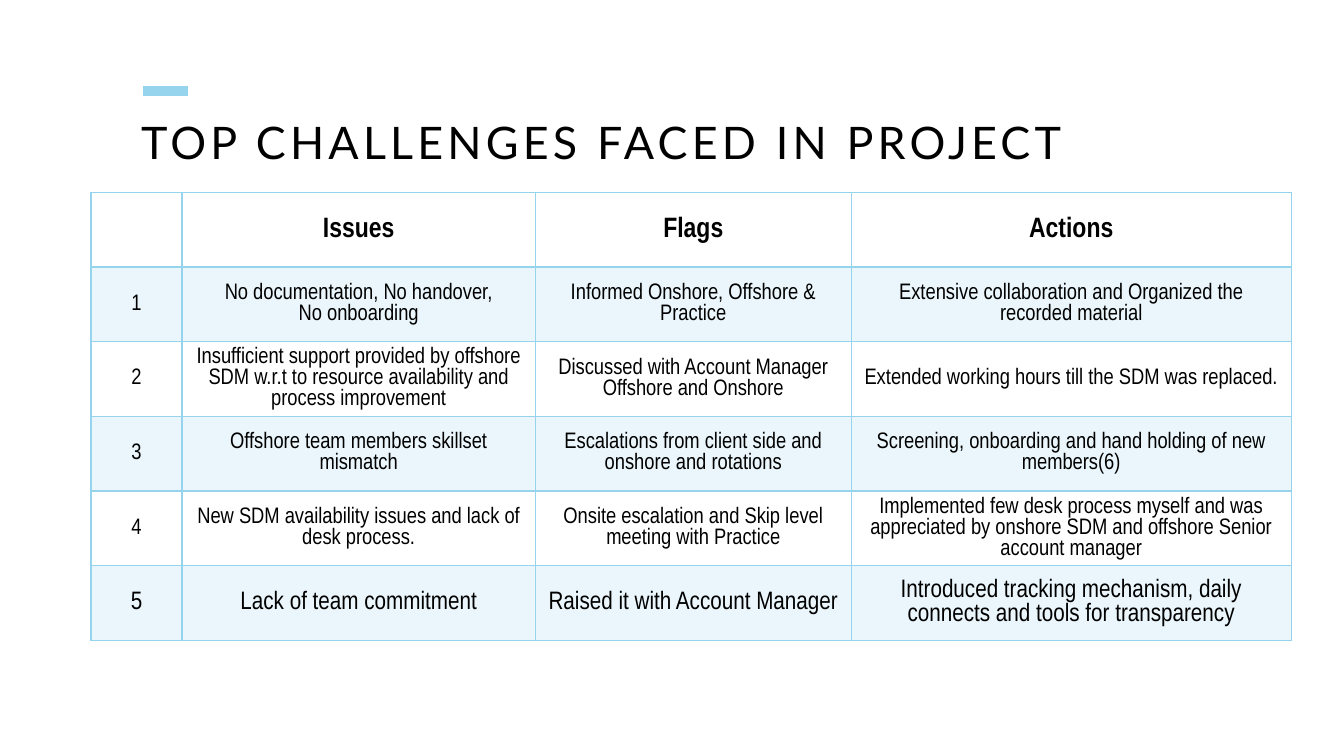
"""Build the slide on the top challenges faced in a project."""
from dataclasses import dataclass

from lxml import etree
from pptx import Presentation
from pptx.dml import color
from pptx.enum import shapes, text
from pptx.oxml import ns
from pptx.util import Pt

ACCENT = "96D3ED"
BLACK = "000000"
BODY_FONT = "Arial Narrow"
COLUMN_WIDTHS = (65, 252.5, 225.5, 314.5)
ROW_HEIGHT = 53.3


@dataclass(frozen=True)
class Row:
    cells: tuple[str, ...]
    size: float = 16
    bold: bool = False
    shaded: bool = False
    bottom_line: float = 1


ROWS = (
    Row(("", "Issues", "Flags", "Actions"), size=20, bold=True, bottom_line=2),
    Row(("1", "No documentation, No handover,\nNo onboarding",
         "Informed Onshore, Offshore & Practice",
         "Extensive collaboration and Organized the recorded material"), shaded=True),
    Row(("2", "Insufficient support provided by offshore SDM w.r.t to resource "
         "availability and process improvement",
         "Discussed with Account Manager Offshore and Onshore",
         "Extended working hours till the SDM was replaced.")),
    Row(("3", "Offshore team members skillset mismatch",
         "Escalations from client side and onshore and rotations",
         "Screening, onboarding and hand holding of new members(6)"), shaded=True),
    Row(("4", "New SDM availability issues and lack of desk process.",
         "Onsite escalation and Skip level meeting with Practice",
         "Implemented few desk process myself and was appreciated by onshore SDM "
         "and offshore Senior account manager")),
    Row(("5", "Lack of team commitment", "Raised it with Account Manager",
         "Introduced tracking mechanism, daily connects and tools for transparency"),
        size=18, shaded=True),
)


def paint(target, hex_code: str) -> None:
    target.rgb = color.RGBColor.from_string(hex_code)


def style_font(font, name: str, size: float, bold: bool = False) -> None:
    font.name, font.size, font.bold = name, Pt(size), bold
    paint(font.color, BLACK)


def add_accent(slide) -> None:
    accent = slide.shapes.add_connector(
        shapes.MSO_CONNECTOR.STRAIGHT, Pt(102.2), Pt(64.8), Pt(134.6), Pt(64.8))
    accent.line.width = Pt(7)
    paint(accent.line.color, ACCENT)
    etree.SubElement(accent._element.spPr, ns.qn("a:effectLst"))


def fill_title(title) -> None:
    title.left, title.top, title.width, title.height = map(Pt, (100.8, 86.4, 756, 72))
    frame = title.text_frame
    frame.margin_left = frame.margin_top = frame.margin_right = frame.margin_bottom = 0
    frame.vertical_anchor = text.MSO_ANCHOR.TOP
    frame.auto_size = text.MSO_AUTO_SIZE.NONE
    frame.word_wrap = True
    frame.text = "TOP CHALLENGES FACED IN PROJECT"
    heading = frame.paragraphs[0]
    heading.alignment = text.PP_ALIGN.LEFT
    heading.line_spacing = 0.9
    style_font(heading.font, "Lato", 32)
    heading.runs[0]._r.get_or_add_rPr().set("spc", "300")


def add_borders(cell, widths: dict[str, float]) -> None:
    properties = cell._tc.get_or_add_tcPr()
    for position, (side, width) in enumerate(widths.items()):
        border = etree.Element(ns.qn(f"a:{side}"), w=str(Pt(width)))
        solid = etree.SubElement(border, ns.qn("a:solidFill"))
        etree.SubElement(solid, ns.qn("a:srgbClr"), val=ACCENT)
        properties.insert(position, border)


def fill_cell(cell, wording: str, row: Row, top_line: float) -> None:
    cell.text = wording
    cell.vertical_anchor = text.MSO_ANCHOR.MIDDLE
    for paragraph in cell.text_frame.paragraphs:
        paragraph.alignment = text.PP_ALIGN.CENTER
        style_font(paragraph.font, BODY_FONT, row.size, row.bold)
    if row.shaded:
        cell.fill.solid()
        paint(cell.fill.fore_color, ACCENT)
        tint = cell._tc.tcPr.find(".//" + ns.qn("a:srgbClr"))
        etree.SubElement(tint, ns.qn("a:alpha"), val="20000")
    else:
        cell.fill.background()
    add_borders(cell, {"lnL": 1, "lnR": 1, "lnT": top_line, "lnB": row.bottom_line})


def add_challenges(slide) -> None:
    challenges = slide.shapes.add_table(
        len(ROWS), len(COLUMN_WIDTHS), Pt(65), Pt(137.5),
        Pt(sum(COLUMN_WIDTHS)), Pt(ROW_HEIGHT * len(ROWS))).table
    challenges.first_row = challenges.horz_banding = False
    for column, width in zip(challenges.columns, COLUMN_WIDTHS):
        column.width = Pt(width)
    top_line = 1
    for table_row, row in zip(challenges.rows, ROWS):
        table_row.height = Pt(ROW_HEIGHT)
        for cell, wording in zip(table_row.cells, row.cells):
            fill_cell(cell, wording, row, top_line)
        top_line = row.bottom_line


def main() -> None:
    deck = Presentation()
    deck.slide_width, deck.slide_height = Pt(960), Pt(540)
    slide = deck.slides.add_slide(deck.slide_layouts.get_by_name("Title Only"))
    add_accent(slide)
    fill_title(slide.shapes.title)
    add_challenges(slide)
    deck.save("out.pptx")


if __name__ == "__main__":
    main()
